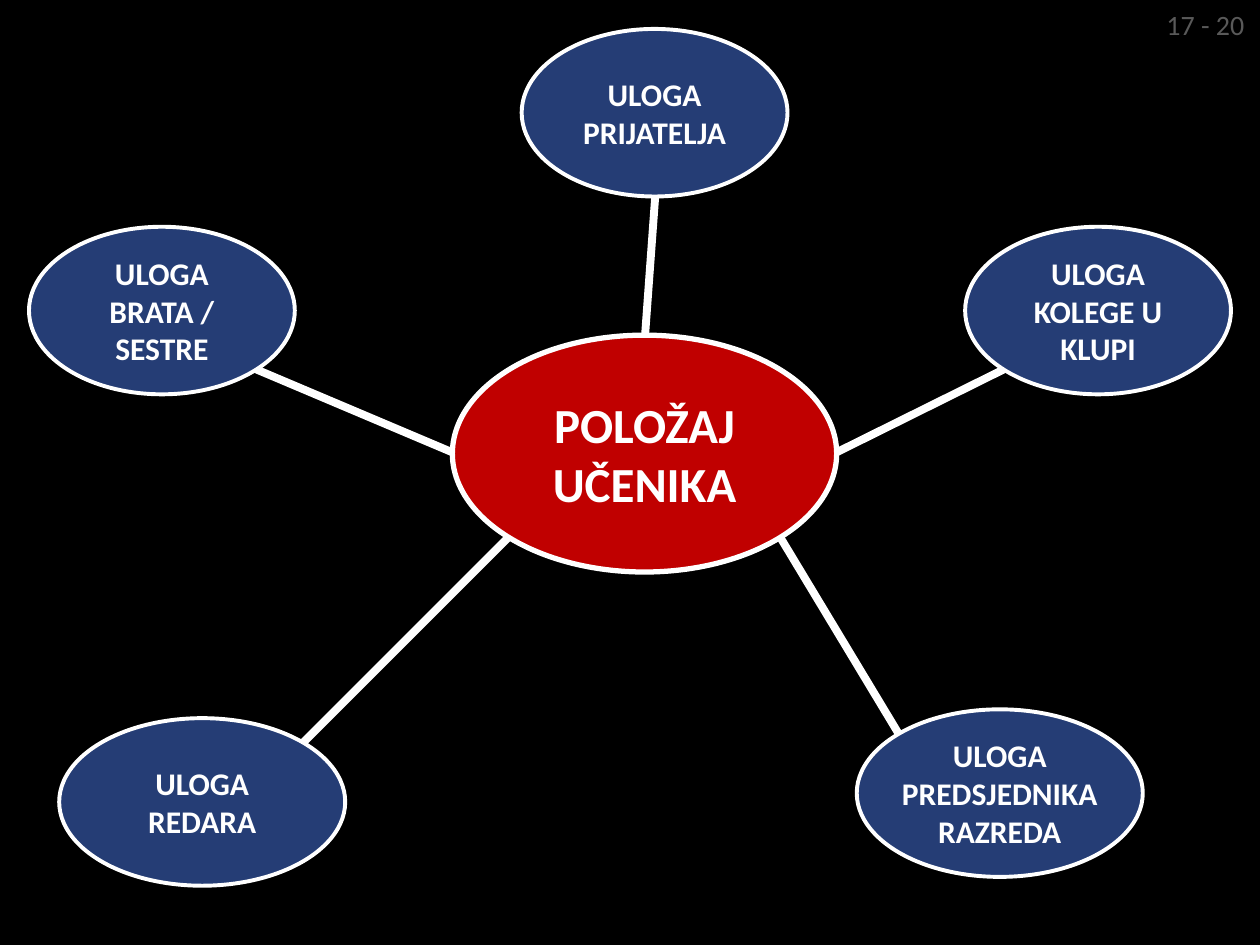
"""Build a mind-map slide of the roles that belong to a pupil's position."""
import pptx
import pptx.dml.color
import pptx.enum.shapes
import pptx.enum.text
import pptx.oxml.ns
import pptx.util
from lxml import etree
from pptx.util import Inches, Pt

RGBColor = pptx.dml.color.RGBColor
BLACK = RGBColor(0x00, 0x00, 0x00)
WHITE = RGBColor(0xFF, 0xFF, 0xFF)
RED = RGBColor(0xC0, 0x00, 0x00)
NAVY = RGBColor(0x25, 0x3D, 0x75)
GREY = RGBColor(0x59, 0x59, 0x59)

ROLE_HEIGHT = 1.33
ROLES = [
    ("ULOGA BRATA / SESTRE", 0.23, 1.8, 2.11, 0.1),
    ("ULOGA PRIJATELJA", 4.14, 0.23, 2.11, 0.1),
    ("ULOGA KOLEGE U KLUPI", 7.66, 1.8, 2.11, 0.1),
    ("ULOGA PREDSJEDNIKA RAZREDA", 6.8, 5.63, 2.27, 0),
    ("ULOGA REDARA", 0.47, 5.7, 2.27, 0.1),
]
SPOKES = [
    (5.2, 1.56, 5.12, 2.66),
    (6.64, 3.59, 7.97, 2.93),
    (6.19, 4.26, 7.13, 5.82),
    (4.04, 4.26, 2.4, 5.9),
    (3.59, 3.59, 2.03, 2.93),
]


def add_span(para, text, size, color, bold=False):
    """Add one formatted run to a paragraph."""
    span = para.add_run()
    span.text = text
    span.font.name = "Calibri"
    span.font.size = Pt(size)
    span.font.bold = bold
    span.font.color.rgb = color


def add_bubble(page, text, bounds, fill, outline, size, inset=0.1):
    """Add an outlined ellipse with centred bold text."""
    bubble = page.shapes.add_shape(
        pptx.enum.shapes.MSO_SHAPE.OVAL, *map(Inches, bounds))
    bubble.shadow.inherit = False
    bubble.fill.solid()
    bubble.fill.fore_color.rgb = fill
    bubble.line.color.rgb = WHITE
    bubble.line.width = Pt(outline)
    frame = bubble.text_frame
    frame.word_wrap = True
    frame.vertical_anchor = pptx.enum.text.MSO_ANCHOR.MIDDLE
    frame.margin_left = frame.margin_right = Inches(inset)
    para = frame.paragraphs[0]
    para.alignment = pptx.enum.text.PP_ALIGN.CENTER
    add_span(para, text, size, WHITE, bold=True)


def add_spoke(page, ends):
    """Add a thick white line between two points."""
    spoke = page.shapes.add_connector(
        pptx.enum.shapes.MSO_CONNECTOR.STRAIGHT, *map(Inches, ends))
    spoke.line.color.rgb = WHITE
    spoke.line.width = Pt(4.5)
    etree.SubElement(spoke._element.spPr, pptx.oxml.ns.qn("a:effectLst"))


def add_page_label(page, text):
    """Add the small page label in the top right corner."""
    box = page.shapes.add_textbox(
        Inches(9.16), Inches(0.01), Inches(0.83), Inches(0.37))
    box.text_frame.word_wrap = False
    box.text_frame.auto_size = pptx.enum.text.MSO_AUTO_SIZE.SHAPE_TO_FIT_TEXT
    add_span(box.text_frame.paragraphs[0], text, 16, GREY)


def main():
    """Build and save the deck."""
    deck = pptx.Presentation()
    deck.slide_width, deck.slide_height = Inches(10), Inches(7.5)
    page = deck.slides.add_slide(deck.slide_layouts[6])
    page.background.fill.solid()
    page.background.fill.fore_color.rgb = BLACK
    add_bubble(page, "POLOŽAJ UČENIKA", (3.59, 2.66, 3.05, 1.88), RED, 3, 28)
    for ends in SPOKES:
        add_spoke(page, ends)
    for text, left, top, width, inset in ROLES:
        bounds = (left, top, width, ROLE_HEIGHT)
        add_bubble(page, text, bounds, NAVY, 2.25, 18, inset)
    add_page_label(page, "17 - 20")
    deck.save("out.pptx")


if __name__ == "__main__":
    main()
